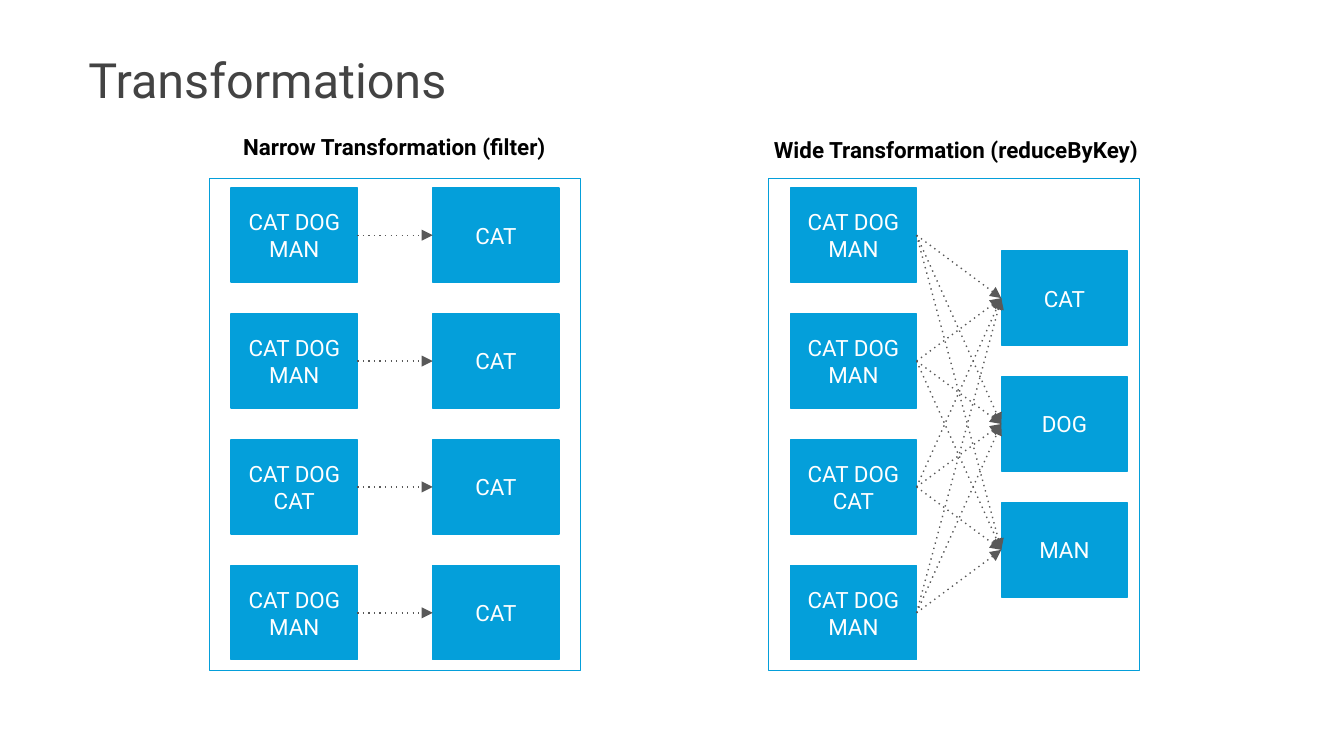
from dataclasses import dataclass
from itertools import product

from pptx import Presentation
from pptx.dml.color import RGBColor
from pptx.enum.dml import MSO_LINE_DASH_STYLE as Dash
from pptx.enum.shapes import MSO_CONNECTOR, MSO_SHAPE
from pptx.enum.text import MSO_ANCHOR as Anchor, MSO_AUTO_SIZE as AutoSize, PP_ALIGN as Align
from pptx.oxml.ns import qn
from pptx.util import Inches, Pt

BLUE, ARROW, WHITE, BLACK, TITLE = "049FDA", "595959", "FFFFFF", "000000", "434343"
SLIDE_W = 10
SLIDE_H = SLIDE_W * 9 / 16
BOX_W, BOX_H = 0.94, 0.7
TOP = 1.4
PITCH = 2.81 / 3
FRAME_TOP, FRAME_W, FRAME_H = 1.33, 2.76, 3.66
RIGHT_SIDE, LEFT_SIDE = 3, 1


@dataclass
class Heading:
    text: str
    left: float
    top: float
    width: float
    align: Align


@dataclass
class Transformation:
    heading: Heading
    frame_left: float
    input_left: float
    output_left: float
    output_top: float
    outputs: list[str]
    shuffles: bool  # every input feeds every output


PARTITIONS = ["CAT DOG MAN", "CAT DOG MAN", "CAT DOG CAT", "CAT DOG MAN"]
TRANSFORMATIONS = [
    Transformation(
        Heading("Narrow Transformation (filter)", 1.7, 0.89, 2.47, Align.CENTER),
        1.56, 1.72, 3.22, TOP, ["CAT"] * 4, False),
    Transformation(
        Heading("Wide Transformation (reduceByKey)", 5.66, 0.91, 2.95, Align.LEFT),
        5.72, 5.88, 7.45, TOP + PITCH / 2, ["CAT", "DOG", "MAN"], True),
]


def colour(value: str) -> RGBColor:
    return RGBColor.from_string(value)


def write(shape, text: str, size: float, hue: str, align: Align,
          anchor: Anchor = Anchor.MIDDLE, bold: bool = False) -> None:
    frame = shape.text_frame
    margins = {f"margin_{side}": Inches(0.1) for side in ("left", "right", "top", "bottom")}
    for name, value in {**margins, "word_wrap": True, "vertical_anchor": anchor}.items():
        setattr(frame, name, value)
    paragraph = frame.paragraphs[0]
    paragraph.alignment = align
    run = paragraph.add_run()
    run.text = text
    for name, value in {"name": "Roboto", "size": Pt(size), "bold": bold}.items():
        setattr(run.font, name, value)
    run.font.color.rgb = colour(hue)


def add_rectangle(shapes, left: float, top: float, width: float, height: float):
    rectangle = shapes.add_shape(MSO_SHAPE.RECTANGLE, Inches(left), Inches(top),
                                 Inches(width), Inches(height))
    rectangle.shadow.inherit = False
    rectangle.fill.background()
    rectangle.line.color.rgb = colour(BLUE)
    rectangle.line.width = Pt(0.75)
    return rectangle


def add_column(shapes, labels: list[str], left: float, top: float) -> list:
    boxes = []
    for row, label in enumerate(labels):
        box = add_rectangle(shapes, left, top + row * PITCH, BOX_W, BOX_H)
        box.fill.solid()
        box.fill.fore_color.rgb = colour(BLUE)
        write(box, label, 12, WHITE, Align.CENTER)
        boxes.append(box)
    return boxes


def add_arrow(shapes, source, target) -> None:
    arrow = shapes.add_connector(MSO_CONNECTOR.STRAIGHT, 0, 0, 0, 0)
    arrow.begin_connect(source, RIGHT_SIDE)
    arrow.end_connect(target, LEFT_SIDE)
    arrow.line.color.rgb = colour(ARROW)
    arrow.line.width = Pt(0.75)
    arrow.line.dash_style = Dash.ROUND_DOT
    properties = arrow._element.spPr
    line = properties.find(qn("a:ln"))
    line.find(qn("a:prstDash")).set("val", "dot")
    line.append(line.makeelement(qn("a:tailEnd"), {"type": "triangle"}))
    properties.append(properties.makeelement(qn("a:effectLst"), {}))


def add_text(shapes, left: float, top: float, width: float, height: float):
    return shapes.add_textbox(Inches(left), Inches(top), Inches(width), Inches(height))


def add_transformation(shapes, item: Transformation) -> None:
    add_rectangle(shapes, item.frame_left, FRAME_TOP, FRAME_W, FRAME_H)
    inputs = add_column(shapes, PARTITIONS, item.input_left, TOP)
    outputs = add_column(shapes, item.outputs, item.output_left, item.output_top)
    pairs = product(inputs, outputs) if item.shuffles else zip(inputs, outputs)
    for source, target in pairs:
        add_arrow(shapes, source, target)

    heading = item.heading
    caption = add_text(shapes, heading.left, heading.top, heading.width, 0.4)
    write(caption, heading.text, 12, BLACK, heading.align, Anchor.TOP, bold=True)
    caption.text_frame.auto_size = AutoSize.SHAPE_TO_FIT_TEXT


def main() -> None:
    deck = Presentation()
    deck.slide_width, deck.slide_height = Inches(SLIDE_W), Inches(SLIDE_H)
    shapes = deck.slides.add_slide(deck.slide_layouts[6]).shapes

    # Title
    write(add_text(shapes, 0.56, 0.39, 5.84, 0.39), "Transformations", 26, TITLE, Align.LEFT)

    # Narrow and wide diagrams
    for item in TRANSFORMATIONS:
        add_transformation(shapes, item)

    deck.save("out.pptx")


if __name__ == "__main__":
    main()
